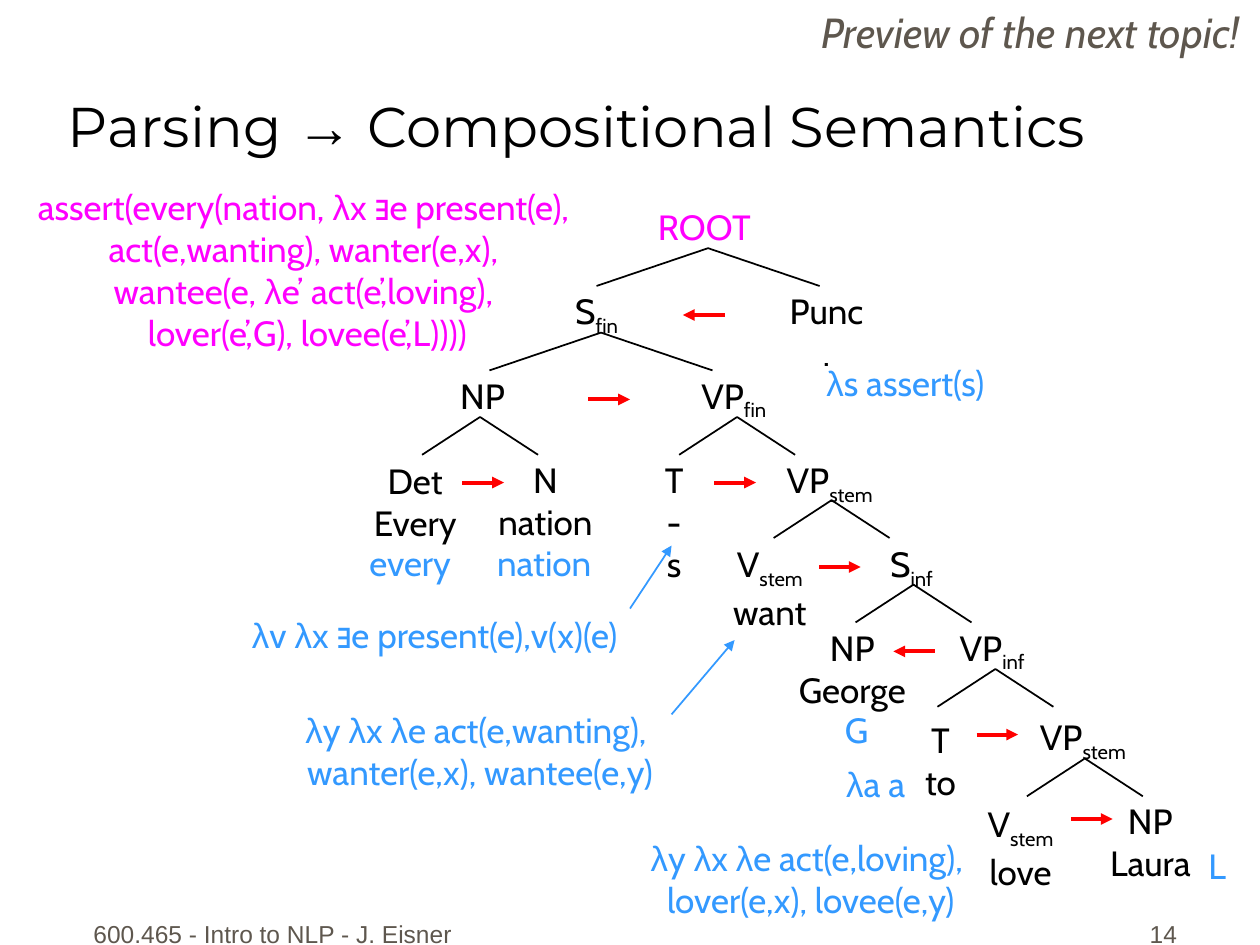
from dataclasses import dataclass
from itertools import groupby

from lxml.etree import SubElement
from pptx import Presentation
from pptx.dml.color import RGBColor as Rgb
from pptx.enum.shapes import MSO_CONNECTOR as Link
from pptx.enum.text import MSO_ANCHOR as Anchor, MSO_AUTO_SIZE as Fit, PP_ALIGN as Align
from pptx.oxml.ns import qn
from pptx.util import Inches, Pt


@dataclass(frozen=True)
class Theme:
    ink: str = "000000"
    blue: str = "3399FF"
    pink: str = "FF00FF"
    red: str = "FF0000"
    grey: str = "5E574E"
    body: str = "Cabin"
    head: str = "Montserrat"
    plain: str = "Arial"
    title: int = 32
    note: int = 24
    text: int = 20
    foot: int = 14
    thin: float = 1
    bold: float = 2.25


T = Theme()

NODES = [
    (8.66, 6.3, 0.94, 0.77, "NP\nLaura"),
    (7.73, 6.32, 0.74, 0.82, "V_stem\nlove"),
    (8.14, 5.63, 0.91, 0.48, "VP_stem"),
    (7.51, 4.92, 0.73, 0.48, "VP_inf"),
    (7.23, 5.65, 0.47, 0.77, "T\nto"),
    (6.96, 4.26, 0.55, 0.48, "S_inf"),
    (6.18, 4.92, 1.17, 0.77, "NP\nGeorge"),
    (6.13, 3.59, 0.91, 0.48, "VP_stem"),
    (5.69, 4.26, 0.84, 0.82, "V_stem\nwant"),
    (5.46, 2.92, 0.73, 0.48, "VP_fin"),
    (4.46, 2.25, 0.55, 0.48, "S_fin"),
    (3.54, 2.92, 0.58, 0.44, "NP"),
    (3.81, 3.59, 1.04, 0.77, "N\nnation"),
    (2.84, 3.6, 0.91, 0.77, "Det\nEvery"),
    (6.14, 2.25, 0.84, 0.77, "Punc\n."),
]

SENSES = [
    (6.6, 5.57, 0.4, 0.44, "G"),
    (6.58, 6, 0.74, 0.44, "λa a"),
    (4.91, 6.59, 3.05, 0.77, "λy λx λe act(e,loving), \vlover(e,x), lovee(e,y)"),
    (9.49, 6.65, 0.34, 0.44, "L"),
    (2.15, 5.57, 3.32, 0.77, "λy λx λe act(e,wanting), \vwanter(e,x), wantee(e,y)"),
    (1.58, 4.82, 3.74, 0.44, "λv λx ∃e present(e),v(x)(e)"),
    (2.67, 4.25, 1.17, 0.44, "every"),
    (3.8, 4.25, 1.04, 0.44, "nation"),
    (6.36, 2.82, 1.65, 0.44, "λs assert(s)"),
]

ROOT_SENSE = (
    "assert(every(nation, λx ∃e present(e), \v"
    "act(e,wanting), wanter(e,x), \n"
    "wantee(e, λe’ act(e’,loving), \v"
    "lover(e’,G), lovee(e’,L))))"
)

WIDE, SLIM, DROP = 0.885, 0.46, 0.3
FORKS = [
    (5.62, 1.97, WIDE), (4.77, 2.64, WIDE),
    (3.81, 3.31, SLIM), (5.85, 3.31, SLIM), (6.6, 3.97, SLIM),
    (7.25, 4.64, SLIM), (7.9, 5.31, SLIM), (8.61, 6.02, SLIM),
]

STEP = 0.33
CALLS = [
    (5.75, 2.5, -STEP), (4.67, 3.17, STEP), (3.67, 3.83, STEP),
    (5.67, 3.83, STEP), (6.5, 4.5, STEP), (7.42, 5.17, -STEP),
    (7.75, 5.83, STEP), (8.5, 6.5, STEP),
]


def add_run(para, text, face, size, tint, slant=False):
    run = para.add_run()
    run.text = text
    font = run.font
    font.name, font.size, font.italic = face, Pt(size), slant
    font.color.rgb = Rgb.from_string(tint)
    return run


def add_line(para, line, face, size, tint, slant):
    base, _, sub = line.partition("_")
    for sign, chars in groupby(base, lambda c: c in "λ∃→"):
        add_run(para, "".join(chars), T.plain if sign else face, size, tint, slant)
    if sub:
        run = add_run(para, sub, face, size, tint, slant)
        run.font._element.set("baseline", "-25000")


def add_text(slide, left, top, width, height, text, tint=T.ink, face=T.body,
             size=T.text, align=Align.CENTER, anchor=Anchor.TOP,
             wrap=False, slant=False):
    box = slide.shapes.add_textbox(*map(Inches, (left, top, width, height)))
    frame = box.text_frame
    frame.word_wrap = wrap
    frame.auto_size = Fit.NONE if wrap else Fit.SHAPE_TO_FIT_TEXT
    frame.vertical_anchor = anchor
    for i, part in enumerate(text.split("\n")):
        para = frame.add_paragraph() if i else frame.paragraphs[0]
        para.alignment = align
        for j, line in enumerate(part.split("\v")):
            if j:
                para.add_line_break()
            add_line(para, line, face, size, tint, slant)


def add_fork(slide, x, y, half):
    base = Inches(y + DROP)
    pen = slide.shapes.build_freeform(Inches(x - half), base)
    pen.add_line_segments([(Inches(x), Inches(y)), (Inches(x + half), base)], close=False)
    fork = pen.convert_to_shape()
    fork.shadow.inherit = False
    fork.fill.background()
    fork.line.color.rgb = Rgb.from_string(T.ink)
    fork.line.width = Pt(T.thin)


def add_arrow(slide, start, end, tint, width):
    arrow = slide.shapes.add_connector(Link.STRAIGHT, *map(Inches, (*start, *end)))
    arrow.line.color.rgb = Rgb.from_string(tint)
    arrow.line.width = Pt(width)
    SubElement(arrow.line._get_or_add_ln(), qn("a:tailEnd"), type="triangle")
    SubElement(arrow._element.spPr, qn("a:effectLst"))


def main():
    deck = Presentation()
    deck.slide_width, deck.slide_height = Inches(10), Inches(7.5)
    slide = deck.slides.add_slide(deck.slide_layouts[6])

    foot = dict(tint=T.grey, face=T.plain, size=T.foot, anchor=Anchor.BOTTOM, wrap=True)
    add_text(slide, 0.58, 7.08, 3.17, 0.5, "600.465 - Intro to NLP - J. Eisner", **foot)
    add_text(slide, 7.36, 7.08, 2.08, 0.5, "14", align=Align.RIGHT, **foot)

    for fork in FORKS:
        add_fork(slide, *fork)
    for node in NODES:
        add_text(slide, *node)
    add_text(slide, 5.14, 3.59, 0.42, 0.77, "T\n-s", wrap=True)
    add_text(slide, 5.11, 1.58, 0.96, 0.44, "ROOT", T.pink)
    for sense in SENSES:
        add_text(slide, *sense, T.blue)
    add_text(slide, -0.12, 1.42, 5.12, 1.44, ROOT_SENSE, T.pink)

    add_arrow(slide, (5, 4.83), (5.33, 4.33), T.blue, T.thin)
    add_arrow(slide, (5.33, 5.67), (5.83, 5.08), T.blue, T.thin)
    for x, y, step in CALLS:
        add_arrow(slide, (x, y), (x + step, y), T.red, T.bold)

    add_text(slide, 0.44, 0.06, 9.39, 1.25, "Parsing → Compositional Semantics",
             face=T.head, size=T.title, align=Align.LEFT, anchor=Anchor.BOTTOM, wrap=True)
    add_text(slide, 6.05, 0, 3.89, 0.5, "Preview of the next topic!", T.grey,
             size=T.note, align=Align.RIGHT, slant=True)
    deck.save("out.pptx")


if __name__ == "__main__":
    main()
